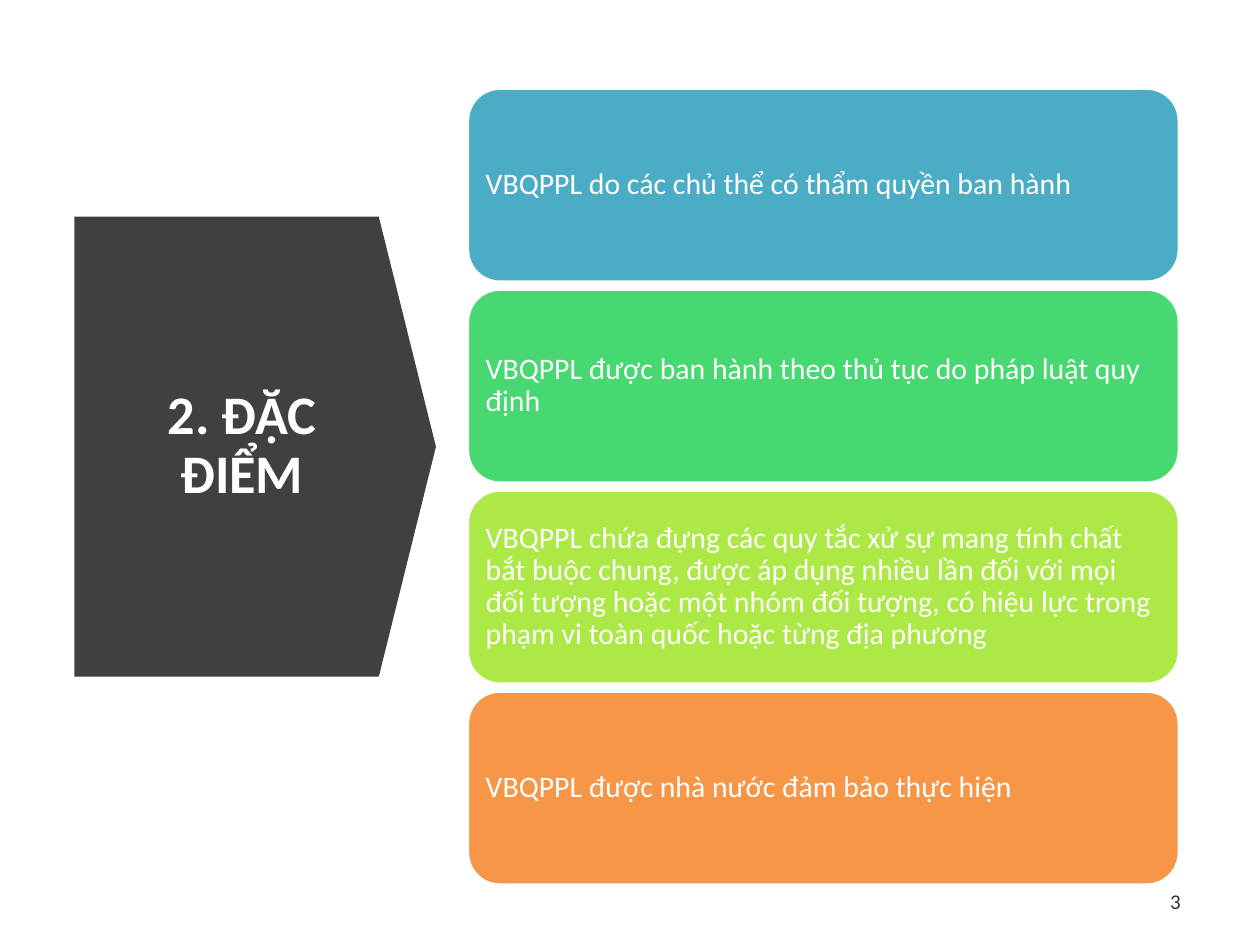
import pptx
import pptx.dml.color
import pptx.enum.shapes
import pptx.enum.text
import pptx.util
from dataclasses import dataclass

Inches = pptx.util.Inches
Pt = pptx.util.Pt
RGBColor = pptx.dml.color.RGBColor
MSO_SHAPE = pptx.enum.shapes.MSO_SHAPE
MSO_ANCHOR = pptx.enum.text.MSO_ANCHOR
PP_ALIGN = pptx.enum.text.PP_ALIGN


@dataclass(frozen=True)
class Theme:
    font: str = "Calibri"
    white: str = "FFFFFF"
    arrow: str = "404040"
    number: str = "333333"
    cards: tuple = ("4BACC6", "47D872", "ACE946", "F79646")
    title_size: int = 31
    card_size: int = 17
    number_size: int = 12


theme = Theme()


def set_text(shape, text, size, color, align, bold=False):
    """Write one vertically centred paragraph and return it."""
    frame = shape.text_frame
    frame.word_wrap = True
    frame.auto_size = pptx.enum.text.MSO_AUTO_SIZE.NONE
    frame.vertical_anchor = MSO_ANCHOR.MIDDLE
    frame.text = text
    paragraph = frame.paragraphs[0]
    paragraph.alignment = align
    font = paragraph.runs[0].font
    font.name = theme.font
    font.size = Pt(size)
    font.bold = bold
    font.color.rgb = RGBColor.from_string(color)
    return paragraph


def add_filled(kind, left, top, width, height, fill):
    """Add a preset shape with a flat fill and no shadow."""
    shape = slide.shapes.add_shape(
        kind, Inches(left), Inches(top), Inches(width), Inches(height))
    shape.shadow.inherit = False
    shape.fill.solid()
    shape.fill.fore_color.rgb = RGBColor.from_string(fill)
    return shape


presentation = pptx.Presentation()
presentation.slide_width = Inches(10)
presentation.slide_height = Inches(7.5)
slide = presentation.slides.add_slide(presentation.slide_layouts[5])

# Arrow pointing right, behind the title
arrow = add_filled(MSO_SHAPE.DOWN_ARROW, 0.2, 2.11, 3.65, 2.87, theme.arrow)
arrow.rotation = 270
arrow.adjustments[0] = 1
arrow.adjustments[1] = 0.158
arrow.line.fill.background()

# Title, brought in front of the arrow
title = slide.shapes.title
title.left, title.top = Inches(0.84), Inches(2.15)
title.width, title.height = Inches(2.16), Inches(2.79)
paragraph = set_text(title, "2. ĐẶC ĐIỂM", theme.title_size, theme.white,
                     PP_ALIGN.CENTER, bold=True)
paragraph.line_spacing = 0.9
arrow.element.addnext(title.element)

# Slide number
number = slide.shapes.add_textbox(
    Inches(9.05), Inches(6.95), Inches(0.42), Inches(0.4))
paragraph = set_text(number, "3", theme.number_size, theme.number, PP_ALIGN.RIGHT)
paragraph.space_after = Pt(6)

# Characteristic cards, stacked at an equal pitch
characteristics = [
    "VBQPPL do các chủ thể có thẩm quyền ban hành",
    "VBQPPL được ban hành theo thủ tục do pháp luật quy định",
    "VBQPPL chứa đựng các quy tắc xử sự mang tính chất bắt buộc chung, "
    "được áp dụng nhiều lần đối với mọi đối tượng hoặc một nhóm đối tượng, "
    "có hiệu lực trong phạm vi toàn quốc hoặc từng địa phương",
    "VBQPPL được nhà nước đảm bảo thực hiện",
]
card_top, card_height, card_gap = 0.7, 1.54, 0.055
for index, (text, fill) in enumerate(zip(characteristics, theme.cards)):
    top = card_top + index * (card_height + card_gap)
    card = add_filled(MSO_SHAPE.ROUNDED_RECTANGLE, 3.71, top, 5.65, card_height, fill)
    card.line.color.rgb = RGBColor.from_string(theme.white)
    card.line.width = Pt(2)
    frame = card.text_frame
    frame.margin_left = frame.margin_right = Inches(0.07)
    frame.margin_top = frame.margin_bottom = Inches(0.07)
    paragraph = set_text(card, text, theme.card_size, theme.white, PP_ALIGN.LEFT)
    paragraph.line_spacing = 0.9
    paragraph.space_after = Pt(6)

presentation.save("out.pptx")
